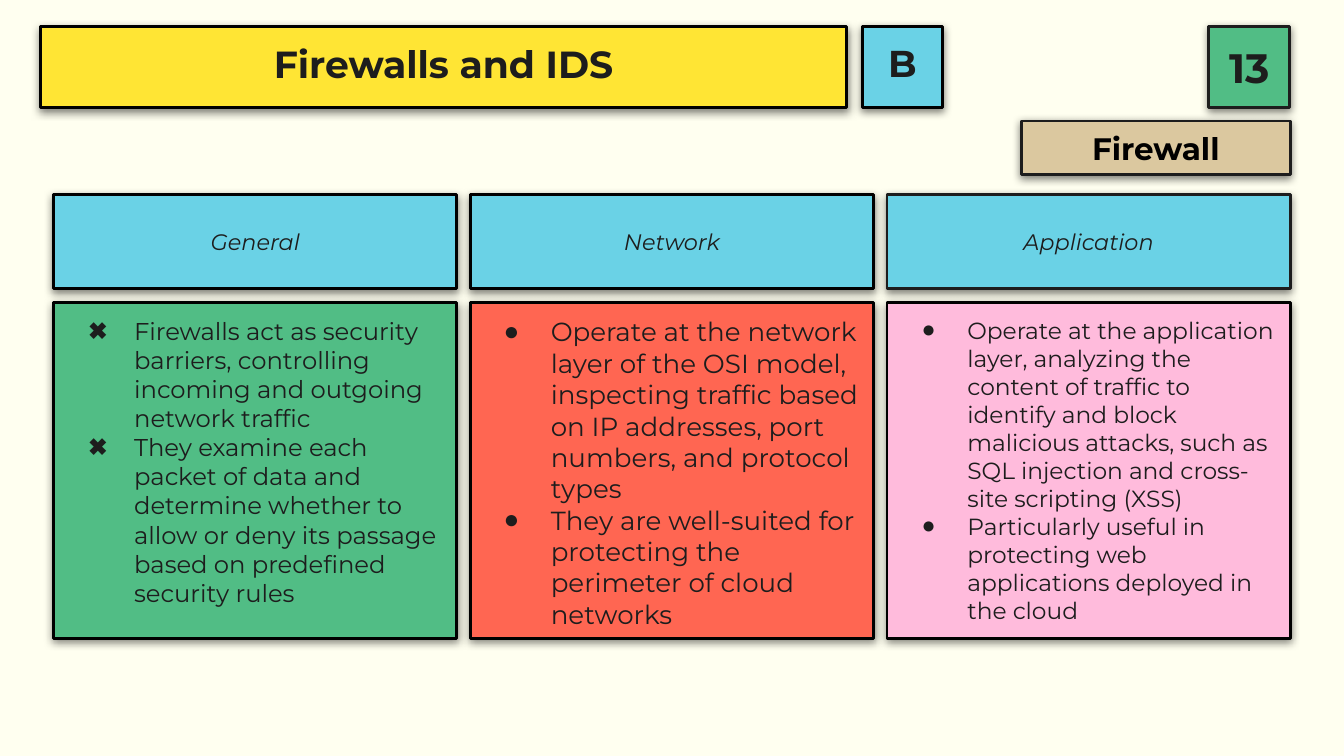
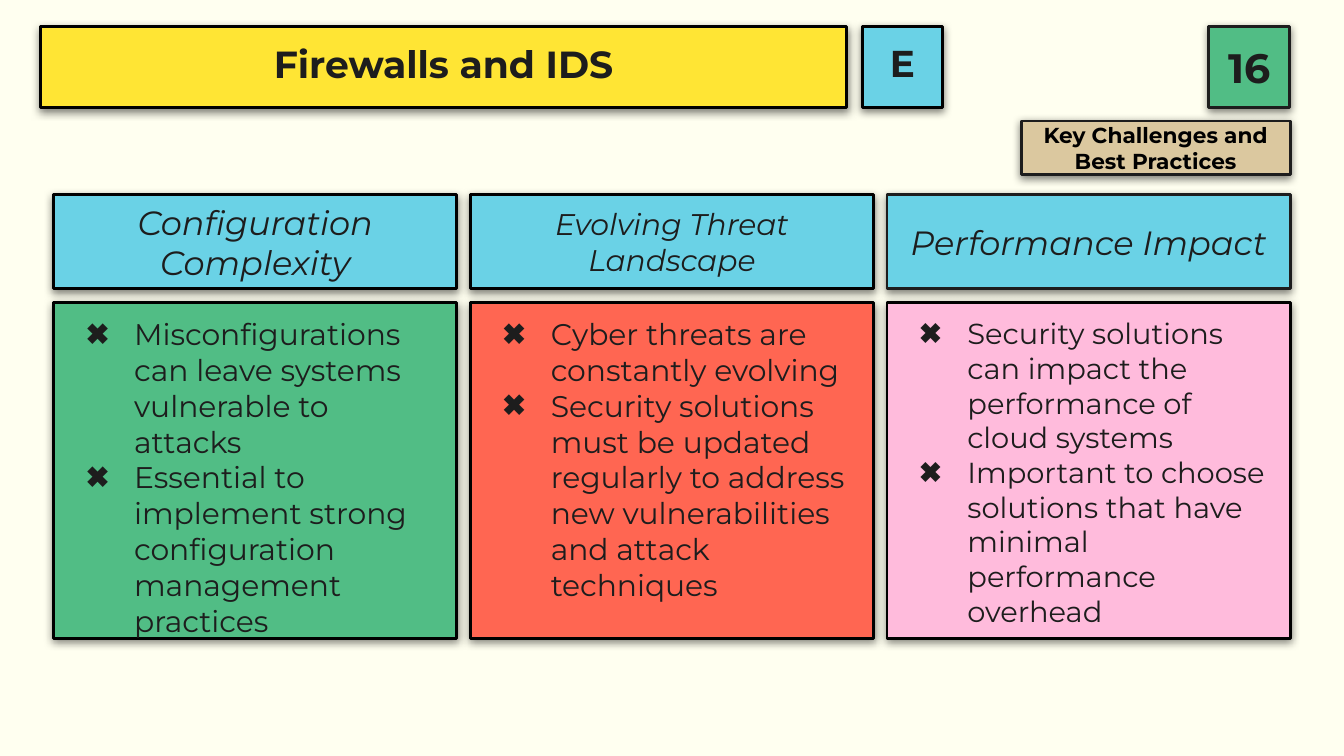
from lxml.etree import SubElement
from pptx import Presentation
from pptx.dml.color import RGBColor
from pptx.enum.shapes import MSO_SHAPE
from pptx.enum.text import MSO_ANCHOR, PP_ALIGN
from pptx.oxml.ns import qn
from pptx.util import Pt

PX = 4572  # 200 px to the inch
FONT = "Montserrat"
IVORY = RGBColor(0xFF, 0xFF, 0xF0)
INK = RGBColor(0x1D, 0x1D, 0x1D)
BLACK = RGBColor(0x00, 0x00, 0x00)
YELLOW = RGBColor(0xFF, 0xE5, 0x34)
BLUE = RGBColor(0x6A, 0xD2, 0xE6)
GREEN = RGBColor(0x51, 0xBD, 0x85)
RED = RGBColor(0xFF, 0x66, 0x52)
PINK = RGBColor(0xFF, 0xBB, 0xDC)
SAND = RGBColor(0xDB, 0xC8, 0x9F)

COLUMN_LEFT, COLUMN_WIDTH, COLUMN_GAP = 80, 600, 20
COLUMN_FILLS = [GREEN, RED, PINK]
HEADING_LINES = [BLACK, BLACK, INK]
CROSS, DOT = "✖", "●"
BULLET_FONTS = {CROSS: FONT, DOT: "Arial"}

# Each column: heading, heading size, bullet, hanging indent, body size, points
SLIDES = [
    {
        "letter": "B", "number": "13", "topic": "Firewall", "topic_size": 16.6,
        "columns": [
            ("General", 12, CROSS, 68, 13, [
                "Firewalls act as security barriers, controlling incoming and "
                "outgoing network traffic",
                "They examine each packet of data and determine whether to allow "
                "or deny its passage based on predefined security rules",
            ]),
            ("Network", 12, DOT, 70, 14, [
                "Operate at the network layer of the OSI model, inspecting traffic "
                "based on IP addresses, port numbers, and protocol types",
                "They are well-suited for protecting the perimeter of cloud networks",
            ]),
            ("Application", 12, DOT, 68, 12.5, [
                "Operate at the application layer, analyzing the content of traffic "
                "to identify and block malicious attacks, such as SQL injection and "
                "cross-site scripting (XSS)",
                "Particularly useful in protecting web applications deployed in "
                "the cloud",
            ]),
        ],
    },
    {
        "letter": "E", "number": "16",
        "topic": "Key Challenges and Best Practices", "topic_size": 11.6,
        "columns": [
            ("Configuration Complexity", 18, CROSS, 72, 16, [
                "Misconfigurations can leave systems vulnerable to attacks",
                "Essential to implement strong configuration management practices",
            ]),
            ("Evolving Threat Landscape", 16, CROSS, 72, 16, [
                "Cyber threats are constantly evolving",
                "Security solutions must be updated regularly to address new "
                "vulnerabilities and attack techniques",
            ]),
            ("Performance Impact", 18, CROSS, 72, 15.5, [
                "Security solutions can impact the performance of cloud systems",
                "Important to choose solutions that have minimal performance overhead",
            ]),
        ],
    },
]


def add_card(slide, box, fill, text, size, line=BLACK, color=INK,
             bold=False, italic=False, spacing=None):
    """Add a bordered box with a soft shadow and centred text; return it."""
    card = slide.shapes.add_shape(MSO_SHAPE.RECTANGLE, *(n * PX for n in box))
    card.fill.solid()
    card.fill.fore_color.rgb = fill
    card.line.color.rgb = line
    card.line.width = Pt(1.5)
    card.shadow.inherit = False
    effects = card._element.spPr.find(qn("a:effectLst"))
    shadow = SubElement(effects, qn("a:outerShdw"), blurRad=str(Pt(4.5)),
                        dist=str(Pt(1.5)), dir="5400000", algn="bl",
                        rotWithShape="0")
    shade = SubElement(shadow, qn("a:srgbClr"), val=str(BLACK))
    SubElement(shade, qn("a:alpha"), val="50000")

    frame = card.text_frame
    frame.word_wrap = True
    frame.vertical_anchor = MSO_ANCHOR.MIDDLE
    frame.margin_left = frame.margin_right = 20 * PX
    frame.margin_top = frame.margin_bottom = 20 * PX
    frame.text = text
    for paragraph in frame.paragraphs:
        paragraph.alignment = PP_ALIGN.CENTER
        if spacing:
            paragraph.line_spacing = spacing
        for run in paragraph.runs:
            run.font.name = FONT
            run.font.size = Pt(size)
            run.font.bold = bold
            run.font.italic = italic
            run.font.color.rgb = color
    return card


def set_bullets(card, bullet, hanging):
    """Turn the card's text into a top-aligned bulleted list."""
    card.text_frame.vertical_anchor = MSO_ANCHOR.TOP
    for paragraph in card.text_frame.paragraphs:
        paragraph.alignment = PP_ALIGN.LEFT
        properties = paragraph._p.get_or_add_pPr()
        properties.set("marL", str(100 * PX))
        properties.set("indent", str(-hanging * PX))
        bullet_color = SubElement(properties, qn("a:buClr"))
        SubElement(bullet_color, qn("a:srgbClr"), val=str(INK))
        SubElement(properties, qn("a:buFont"), typeface=BULLET_FONTS[bullet])
        SubElement(properties, qn("a:buChar"), char=bullet)


deck = Presentation()
deck.slide_width, deck.slide_height = 2000 * PX, 1125 * PX
blank = deck.slide_layouts[6]

for content in SLIDES:
    slide = deck.slides.add_slide(blank)
    slide.background.fill.solid()
    slide.background.fill.fore_color.rgb = IVORY

    add_card(slide, (60, 40, 1200, 120), YELLOW, "Firewalls and IDS", 20.2,
             bold=True, spacing=0.8)
    add_card(slide, (1283, 40, 120, 120), BLUE, content["letter"], 20,
             bold=True, spacing=0.8)
    add_card(slide, (1799, 40, 120, 120), GREEN, content["number"], 22,
             line=INK, bold=True)
    add_card(slide, (1520, 180, 400, 80), SAND, content["topic"],
             content["topic_size"], line=INK, color=BLACK, bold=True)

    for i, column in enumerate(content["columns"]):
        heading, heading_size, bullet, hanging, body_size, points = column
        left = COLUMN_LEFT + i * (COLUMN_WIDTH + COLUMN_GAP)
        add_card(slide, (left, 290, COLUMN_WIDTH, 140), BLUE, heading,
                 heading_size, line=HEADING_LINES[i], italic=True)
        body = add_card(slide, (left, 450, COLUMN_WIDTH, 500), COLUMN_FILLS[i],
                        "\n".join(points), body_size)
        set_bullets(body, bullet, hanging)

deck.save("out.pptx")
